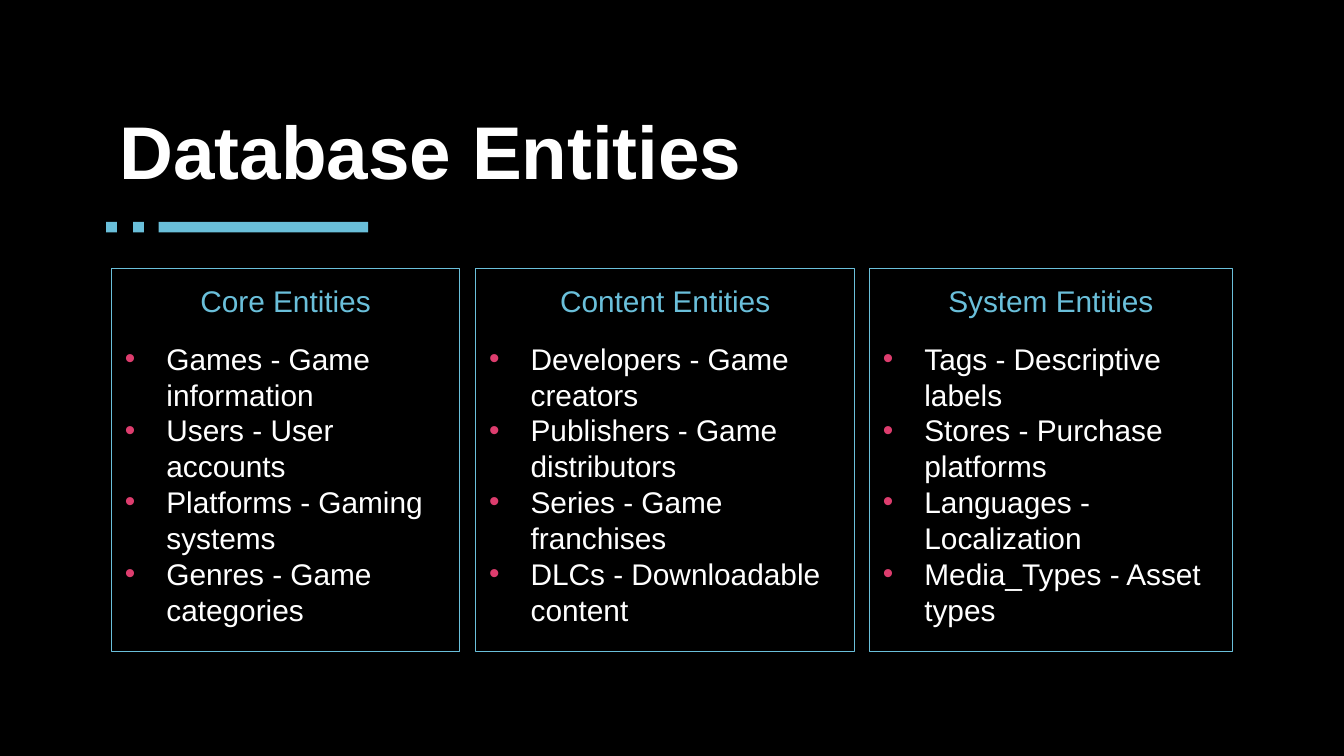
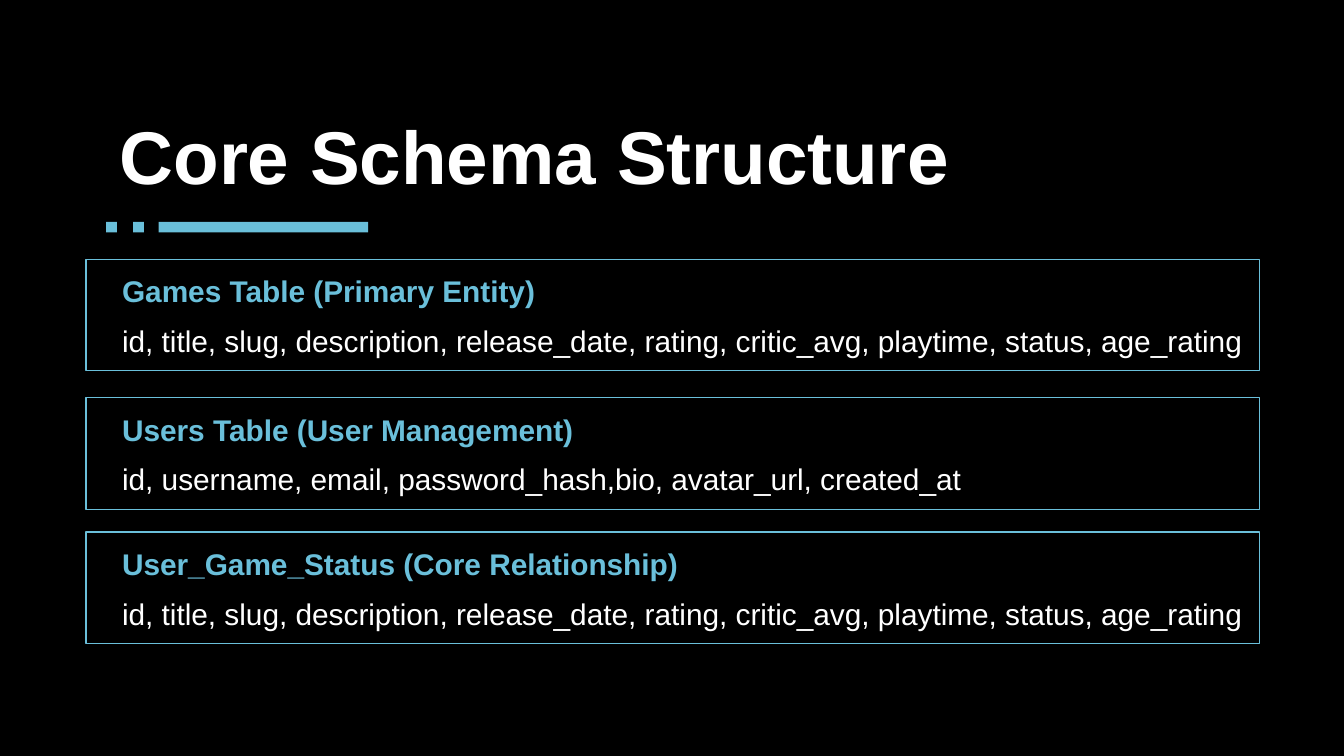
import pptx
import pptx.dml.color
import pptx.enum.shapes
import pptx.enum.text
import pptx.oxml.ns
import pptx.util
from lxml import etree
from pptx.util import Inches, Pt

SLIDE_WIDTH = 10
SLIDE_HEIGHT = SLIDE_WIDTH * 9 / 16
COLORS = {
    "background": "000000",
    "text": "FFFFFF",
    "accent": "6ABFDA",
    "bullet": "DD3D6E",
}
FONT = "Arial"
BODY_SIZE = 16
LINE_FACTOR = 1.2
LEFT = pptx.enum.text.PP_ALIGN.LEFT
CENTER = pptx.enum.text.PP_ALIGN.CENTER

ENTITY_TOP, ENTITY_HEIGHT = 2, 2.85
ENTITY_CARDS = [
    (0.83, 2.59, "Core Entities", [
        "Games - Game information",
        "Users - User accounts",
        "Platforms - Gaming systems",
        "Genres - Game categories",
    ]),
    (3.54, 2.82, "Content Entities", [
        "Developers - Game creators",
        "Publishers - Game distributors",
        "Series - Game franchises",
        "DLCs - Downloadable content",
    ]),
    (6.47, 2.7, "System Entities", [
        "Tags - Descriptive labels",
        "Stores - Purchase platforms",
        "Languages - Localization",
        "Media_Types - Asset types",
    ]),
]

SCHEMA_LEFT, SCHEMA_WIDTH, SCHEMA_HEIGHT = 0.64, 8.73, 0.83
GAME_FIELDS = ("id, title, slug, description, release_date, rating, "
               "critic_avg, playtime, status, age_rating")
SCHEMA_CARDS = [
    (1.93, "Games Table (Primary Entity)", GAME_FIELDS),
    (2.96, "Users Table (User Management)",
     "id, username, email, password_hash,bio, avatar_url, created_at"),
    (3.96, "User_Game_Status (Core Relationship)", GAME_FIELDS),
]


def rgb(name):
    return pptx.dml.color.RGBColor.from_string(COLORS[name])


def style_font(paragraph, size, color, bold=False):
    font = paragraph.font
    font.name = FONT
    font.size = Pt(size)
    font.bold = bold
    font.color.rgb = rgb(color)


def set_margins(frame):
    frame.margin_left = frame.margin_right = Inches(0.1)
    frame.margin_top = frame.margin_bottom = Inches(0.1)


def add_rectangle(slide, left, top, width, height):
    shape = slide.shapes.add_shape(
        pptx.enum.shapes.MSO_SHAPE.RECTANGLE,
        Inches(left), Inches(top), Inches(width), Inches(height))
    shape.shadow.inherit = False
    return shape


def add_card(slide, left, top, width, height):
    """Add an outlined box and return its text frame."""
    card = add_rectangle(slide, left, top, width, height)
    card.fill.background()
    card.line.color.rgb = rgb("accent")
    card.line.width = Pt(0.75)
    frame = card.text_frame
    frame.word_wrap = True
    frame.vertical_anchor = pptx.enum.text.MSO_ANCHOR.TOP
    set_margins(frame)
    return frame


def write_paragraph(paragraph, text, color, bold=False, alignment=LEFT, space_after=0):
    paragraph.text = text
    paragraph.alignment = alignment
    paragraph.line_spacing = Pt(BODY_SIZE * LINE_FACTOR)
    paragraph.space_before = Pt(0)
    paragraph.space_after = Pt(space_after)
    style_font(paragraph, BODY_SIZE, color, bold)


def set_indent(paragraph, margin, first_line):
    properties = paragraph._p.get_or_add_pPr()
    properties.set("marL", str(Inches(margin)))
    properties.set("indent", str(Inches(first_line)))
    return properties


def add_bullet(paragraph):
    properties = set_indent(paragraph, 0.31, -0.31)
    qualified = pptx.oxml.ns.qn
    font_properties = properties.find(qualified("a:defRPr"))
    bullet_color = etree.Element(qualified("a:buClr"))
    etree.SubElement(bullet_color, qualified("a:srgbClr"), val=COLORS["bullet"])
    bullet_font = etree.Element(qualified("a:buFont"), typeface=FONT)
    bullet = etree.Element(qualified("a:buChar"), char="•")
    for element in (bullet_color, bullet_font, bullet):
        font_properties.addprevious(element)


def add_accent(slide, left, top):
    """Add the two squares and the bar below the title."""
    size = 0.08
    for offset, width in ((0, size), (0.2, size), (0.39, 1.56)):
        mark = add_rectangle(slide, left + offset, top, width, size)
        mark.fill.solid()
        mark.fill.fore_color.rgb = rgb("accent")
        mark.line.fill.background()


def add_titled_slide(presentation, text, top, height):
    slide = presentation.slides.add_slide(presentation.slide_layouts.get_by_name("Title Only"))
    title = slide.shapes.title
    title.left, title.top = Inches(0.79), Inches(top)
    title.width, title.height = Inches(8.43), Inches(height)
    frame = title.text_frame
    frame.text = text
    frame.word_wrap = True
    frame.auto_size = pptx.enum.text.MSO_AUTO_SIZE.NONE
    frame.vertical_anchor = pptx.enum.text.MSO_ANCHOR.TOP
    set_margins(frame)
    paragraph = frame.paragraphs[0]
    paragraph.alignment = LEFT
    style_font(paragraph, 40, "text", bold=True)
    add_accent(slide, 0.79, 1.65)
    return slide


def add_entity_card(slide, left, top, width, height, heading, items):
    frame = add_card(slide, left, top, width, height)
    write_paragraph(frame.paragraphs[0], heading, "accent",
                    alignment=CENTER, space_after=12)
    for item in items:
        paragraph = frame.add_paragraph()
        write_paragraph(paragraph, item, "text")
        add_bullet(paragraph)


def add_schema_card(slide, left, top, width, height, heading, fields):
    frame = add_card(slide, left, top, width, height)
    write_paragraph(frame.paragraphs[0], heading, "accent", bold=True, space_after=7.5)
    write_paragraph(frame.add_paragraph(), fields, "text")
    for paragraph in frame.paragraphs:
        set_indent(paragraph, 0.5, -0.33)


def build_entities_slide(presentation):
    slide = add_titled_slide(presentation, "Database Entities", 0.68, 0.82)
    for left, width, heading, items in ENTITY_CARDS:
        add_entity_card(slide, left, ENTITY_TOP, width, ENTITY_HEIGHT, heading, items)


def build_schema_slide(presentation):
    slide = add_titled_slide(presentation, "Core Schema Structure", 0.72, 0.73)
    for top, heading, fields in SCHEMA_CARDS:
        add_schema_card(slide, SCHEMA_LEFT, top, SCHEMA_WIDTH, SCHEMA_HEIGHT, heading, fields)


def main():
    presentation = pptx.Presentation()
    presentation.slide_width = Inches(SLIDE_WIDTH)
    presentation.slide_height = Inches(SLIDE_HEIGHT)
    background = presentation.slide_master.background.fill
    background.solid()
    background.fore_color.rgb = rgb("background")
    build_entities_slide(presentation)
    build_schema_slide(presentation)
    presentation.save("out.pptx")


if __name__ == "__main__":
    main()
